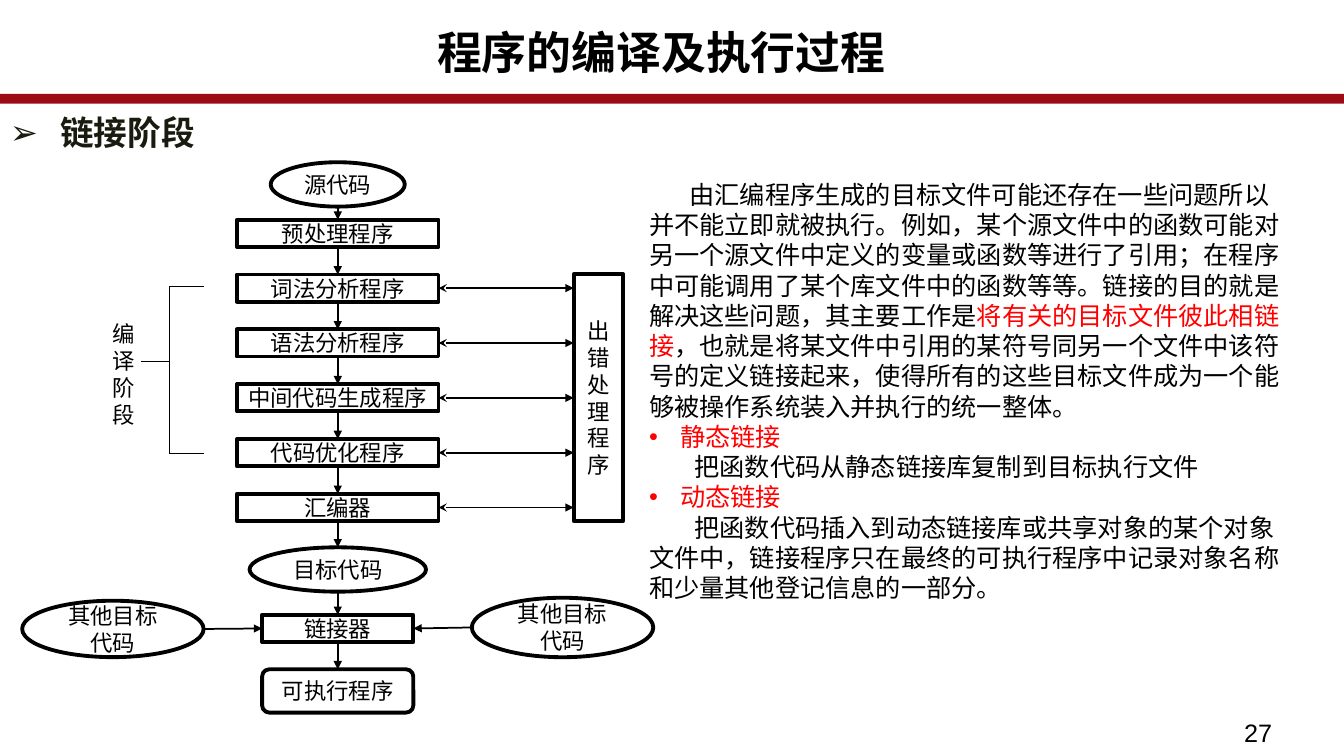
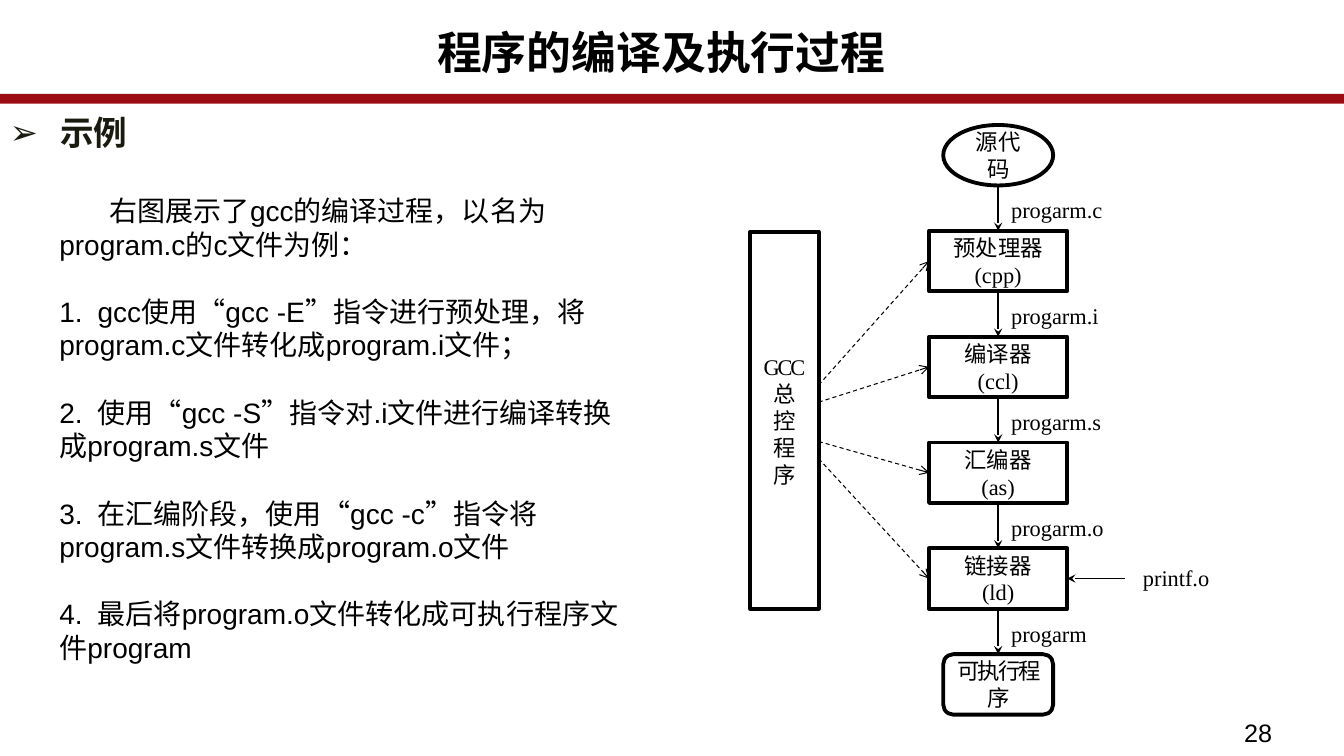
"""Build two slides on compiling, linking and running a program."""
import dataclasses

import lxml.etree
import pptx
import pptx.dml.color
import pptx.enum.dml
import pptx.enum.lang
import pptx.enum.shapes
import pptx.enum.text
import pptx.oxml.ns
import pptx.util

Inches = pptx.util.Inches
SHAPES = pptx.enum.shapes.MSO_SHAPE
ALIGN = pptx.enum.text.PP_ALIGN
ANCHOR = pptx.enum.text.MSO_ANCHOR
TOP, LEFT, BOTTOM, RIGHT = range(4)


@dataclasses.dataclass(frozen=True)
class Theme:
    width: float = 13.33
    height: float = 7.5
    sans: str = "Arial"
    serif: str = "Times New Roman"
    black: str = "000000"
    white: str = "FFFFFF"
    red: str = "FF0000"
    band: str = "9C0C15"
    heading: str = "191B0E"
    title_size: int = 32
    heading_size: int = 24
    example_size: int = 20
    body_size: int = 18
    label_size: int = 16
    outline: float = 2.75
    arrow: float = 1.25
    thin: float = 0.75


THEME = Theme()
TITLE = "程序的编译及执行过程"

LINKING = [
    (0.4, None, [
        ("由汇编程序生成的目标文件可能还存在一些问题所以并不能立即就被执行。例如，某个源文件中的函数可能对"
         "另一个源文件中定义的变量或函数等进行了引用；在程序中可能调用了某个库文件中的函数等等。"
         "链接的目的就是解决这些问题，其主要工作是", THEME.black),
        ("将有关的目标文件彼此相链接", THEME.red),
        ("，也就是将某文件中引用的某符号同另一个文件中该符号的定义链接起来，"
         "使得所有的这些目标文件成为一个能够被操作系统装入并执行的统一整体。", THEME.black)]),
    (0.31, "•", [("静态链接", THEME.red)]),
    (0.45, None, [("把函数代码从静态链接库复制到目标执行文件", THEME.black)]),
    (0.31, "•", [("动态链接", THEME.red)]),
    (0.45, None, [
        ("把函数代码插入到动态链接库或共享对象的某个对象文件中，"
         "链接程序只在最终的可执行程序中记录对象名称和少量其他登记信息的一部分。", THEME.black)]),
]
PHASES = ["预处理程序", "词法分析程序", "语法分析程序", "中间代码生成程序", "代码优化程序", "汇编器"]

EXAMPLE = [
    "右图展示了gcc的编译过程，以名为program.c的c文件为例：",
    "1.\tgcc使用“gcc -E”指令进行预处理，将program.c文件转化成program.i文件；",
    "2.\t使用“gcc -S”指令对.i文件进行编译转换成program.s文件",
    "3.\t在汇编阶段，使用“gcc -c”指令将program.s文件转换成program.o文件",
    "4.\t最后将program.o文件转化成可执行程序文件program",
]
TOOLS = [("预处理器", "(cpp)"), ("编译器", "(ccl)"), ("汇编器", "(as)"), ("链接器", "(ld)")]
FILES = ["progarm.c", "progarm.i", "progarm.s", "progarm.o", "progarm"]
CONTROL = ["GCC", "总", "控", "程", "序"]
CONTROL_EXITS = [3.82, 3.99, 4.38, 4.55]


def rgb(value):
    return pptx.dml.color.RGBColor.from_string(value)


def add_run(paragraph, text, size, font=THEME.sans, color=THEME.black, bold=False, spacing=0):
    run = paragraph.add_run()
    run.text = text
    run.font.name = font
    run.font.size = pptx.util.Pt(size)
    run.font.bold = bold
    run.font.color.rgb = rgb(color)
    run.font.language_id = pptx.enum.lang.MSO_LANGUAGE_ID.SIMPLIFIED_CHINESE
    if spacing:
        run._r.get_or_add_rPr().set("spc", str(round(spacing * 100)))


def next_paragraph(frame, index):
    return frame.add_paragraph() if index else frame.paragraphs[0]


def indent(paragraph, amount, bullet=None):
    properties = paragraph._p.get_or_add_pPr()
    properties.set("marL", str(Inches(amount if bullet else 0)))
    properties.set("indent", str(Inches(-amount if bullet else amount)))
    if bullet:
        font = lxml.etree.SubElement(properties, pptx.oxml.ns.qn("a:buFont"))
        font.set("typeface", THEME.sans)
        mark = lxml.etree.SubElement(properties, pptx.oxml.ns.qn("a:buChar"))
        mark.set("char", bullet)


def add_tab_stop(paragraph, position):
    tabs = lxml.etree.SubElement(paragraph._p.get_or_add_pPr(), pptx.oxml.ns.qn("a:tabLst"))
    stop = lxml.etree.SubElement(tabs, pptx.oxml.ns.qn("a:tab"))
    stop.set("pos", str(Inches(position)))
    stop.set("algn", "l")


def add_text_frame(slide, left, top, width, height):
    box = slide.shapes.add_textbox(*map(Inches, (left, top, width, height)))
    box.text_frame.word_wrap = True
    return box.text_frame


def add_label(slide, text, left, top, width, height=0.36, centred=False):
    frame = add_text_frame(slide, left, top, width, height)
    if centred:
        frame.vertical_anchor = ANCHOR.MIDDLE
        frame.margin_left = frame.margin_right = 0
        frame.paragraphs[0].alignment = ALIGN.CENTER
    add_run(frame.paragraphs[0], text, THEME.label_size, THEME.serif)


def style_shape(shape, fill, line):
    shape.shadow.inherit = False
    shape.fill.solid()
    shape.fill.fore_color.rgb = rgb(fill)
    shape.line.color.rgb = rgb(line)
    shape.line.width = pptx.util.Pt(THEME.outline)


def add_node(slide, lines, center, top, width, height, kind=SHAPES.RECTANGLE, spacing=0):
    """Draw an outlined diagram node centred on a column."""
    shape = slide.shapes.add_shape(kind, *map(Inches, (center - width / 2, top, width, height)))
    style_shape(shape, THEME.white, THEME.black)
    frame = shape.text_frame
    frame.word_wrap = True
    frame.vertical_anchor = ANCHOR.MIDDLE
    frame.margin_top = frame.margin_bottom = 0
    for index, text in enumerate(lines):
        paragraph = next_paragraph(frame, index)
        paragraph.alignment = ALIGN.CENTER
        add_run(paragraph, text, THEME.label_size, THEME.serif, spacing=0 if index else spacing)
    return shape


def side_point(shape, side):
    middle_x, middle_y = shape.left + shape.width // 2, shape.top + shape.height // 2
    return [(middle_x, shape.top), (shape.left, middle_y),
            (middle_x, shape.top + shape.height), (shape.left + shape.width, middle_y)][side]


def add_line(slide, start, end, width=THEME.arrow, head=None, tail=None, dashed=False):
    """Join two ends, each a point in inches or a (shape, side) pair."""
    def is_joint(place):
        return hasattr(place[0], "shape_id")

    points = [side_point(*place) if is_joint(place) else tuple(map(Inches, place))
              for place in (start, end)]
    line = slide.shapes.add_connector(
        pptx.enum.shapes.MSO_CONNECTOR.STRAIGHT, *points[0], *points[1])
    for place, connect in ((start, line.begin_connect), (end, line.end_connect)):
        if is_joint(place) and place[0].auto_shape_type != SHAPES.OVAL:
            connect(*place)
    line.line.color.rgb = rgb(THEME.black)
    line.line.width = pptx.util.Pt(width)
    if dashed:
        line.line.dash_style = pptx.enum.dml.MSO_LINE.DASH
    outline = line.line._get_or_add_ln()
    for tag, kind in (("a:headEnd", head), ("a:tailEnd", tail)):
        if kind:
            lxml.etree.SubElement(outline, pptx.oxml.ns.qn(tag)).set("type", kind)
    lxml.etree.SubElement(line._element.spPr, pptx.oxml.ns.qn("a:effectLst"))


def chain(slide, nodes, tail):
    for upper, lower in zip(nodes, nodes[1:]):
        add_line(slide, (upper, BOTTOM), (lower, TOP), tail=tail)


def add_base(presentation, heading, number):
    """Add a slide with the shared band, title, heading and page number."""
    slide = presentation.slides.add_slide(presentation.slide_layouts[5])
    band = slide.shapes.add_shape(
        SHAPES.ROUNDED_RECTANGLE, 0, Inches(0.95), Inches(THEME.width), Inches(0.06))
    style_shape(band, THEME.band, THEME.band)

    title = slide.shapes.title
    title.left, title.top = 0, Inches(0.26)
    title.width, title.height = Inches(THEME.width - 0.21), Inches(0.75)
    title.text_frame.vertical_anchor = ANCHOR.TOP
    paragraph = title.text_frame.paragraphs[0]
    paragraph.alignment = ALIGN.CENTER
    paragraph.line_spacing = 0.89
    add_run(paragraph, TITLE, THEME.title_size, bold=True)

    paragraph = add_text_frame(slide, 0, 1.09, 5.4, 0.51).paragraphs[0]
    paragraph.line_spacing = 0.94
    indent(paragraph, 0.5, "➢")
    add_run(paragraph, heading, THEME.heading_size, color=THEME.heading, bold=True)

    frame = add_text_frame(slide, 12.24, 7.07, 1, 0.4)
    add_run(frame.paragraphs[0], str(number), THEME.body_size)
    return slide


def add_linking_diagram(slide):
    axis, first, last, row = 3.35, 2.18, 4.9, 0.27
    pitch = (last - first) / (len(PHASES) - 1)
    source = add_node(slide, ["源代码"], axis, 1.61, 1.33, 0.44, SHAPES.OVAL)
    phases = [add_node(slide, [name], axis, first + pitch * index, 2, row)
              for index, name in enumerate(PHASES)]
    target = add_node(slide, ["目标代码"], axis, 5.43, 1.75, 0.44, SHAPES.OVAL)
    linker = add_node(slide, ["链接器"], axis, 6.1, 1.5, row)
    program = add_node(slide, ["可执行程序"], axis, 6.64, 1.5, 0.43, SHAPES.ROUNDED_RECTANGLE)
    chain(slide, [source, *phases, target, linker, program], "triangle")

    for center, top, height, outer, inner in ((1.12, 5.96, 0.56, RIGHT, LEFT),
                                              (5.58, 5.93, 0.59, LEFT, RIGHT)):
        other = add_node(slide, ["其他目标代码"], center, top, 1.8, height, SHAPES.OVAL)
        add_line(slide, (other, outer), (linker, inner), tail="triangle")

    panel_left, panel_width = 5.69, 0.49
    add_node(slide, ["出错处理程序"], panel_left + panel_width / 2, 2.72, panel_width, 2.45)
    for index, phase in enumerate(phases[1:], 1):
        add_line(slide, (phase, RIGHT), (panel_left, first + pitch * index + row / 2),
                 head="stealth", tail="triangle")

    spine, tip, upper, lower, middle = 1.68, 2.02, 2.84, 4.5, 3.59
    for start, end in (((tip, upper), (spine, upper)), ((spine, upper), (spine, lower)),
                       ((spine, lower), (tip, lower)), ((spine, middle), (1.4, middle))):
        add_line(slide, start, end, THEME.thin)
    add_label(slide, "编译阶段", 1.08, 3.12, 0.3, 1.18, centred=True)


def add_linking_text(slide):
    frame = add_text_frame(slide, 6.34, 1.73, 6.54, 4.34)
    for index, (amount, bullet, runs) in enumerate(LINKING):
        paragraph = next_paragraph(frame, index)
        indent(paragraph, amount, bullet)
        for text, color in runs:
            add_run(paragraph, text, THEME.body_size, color=color)


def add_example_text(slide):
    frame = add_text_frame(slide, 0.49, 1.87, 5.86, 4.81)
    for index, text in enumerate(EXAMPLE):
        paragraph = next_paragraph(frame, index)
        if index:
            paragraph.space_before = pptx.util.Pt(24)
            add_tab_stop(paragraph, 0.38)
        else:
            indent(paragraph, 0.5)
        add_run(paragraph, text, THEME.example_size)


def add_example_diagram(slide):
    axis, first, pitch, row = 9.9, 1.24, 1.05, 0.6
    tops = [first + pitch * index for index in range(len(TOOLS) + 2)]
    source = add_node(slide, ["源代码"], axis, tops[0], 1.09, row, SHAPES.OVAL)
    tools = [add_node(slide, lines, axis, top, 1.37, row)
             for lines, top in zip(TOOLS, tops[1:])]
    program = add_node(slide, ["可执行程序"], axis, tops[-1], 1.09, row,
                       SHAPES.ROUNDED_RECTANGLE, spacing=-1.5)
    chain(slide, [source, *tools, program], "stealth")
    for name, top in zip(FILES, tops):
        add_label(slide, name, axis + 0.03, top + 0.66, 1.22)

    control_left, control_width = 7.44, 0.68
    add_node(slide, CONTROL, control_left + control_width / 2, 2.3, control_width, 3.74,
             spacing=-1.5)
    for tool, height in zip(tools, CONTROL_EXITS):
        add_line(slide, (control_left + control_width, height), (tool, LEFT),
                 THEME.thin, tail="arrow", dashed=True)

    library_left = 11.16
    add_label(slide, "printf.o", library_left, 5.55, 1.01, centred=True)
    add_line(slide, (library_left, tops[4] + row / 2), (tools[-1], RIGHT), tail="stealth")


def main():
    presentation = pptx.Presentation()
    presentation.slide_width = Inches(THEME.width)
    presentation.slide_height = Inches(THEME.height)
    linking = add_base(presentation, "链接阶段", 27)
    add_linking_diagram(linking)
    add_linking_text(linking)
    example = add_base(presentation, "示例", 28)
    add_example_text(example)
    add_example_diagram(example)
    presentation.save("out.pptx")


if __name__ == "__main__":
    main()
